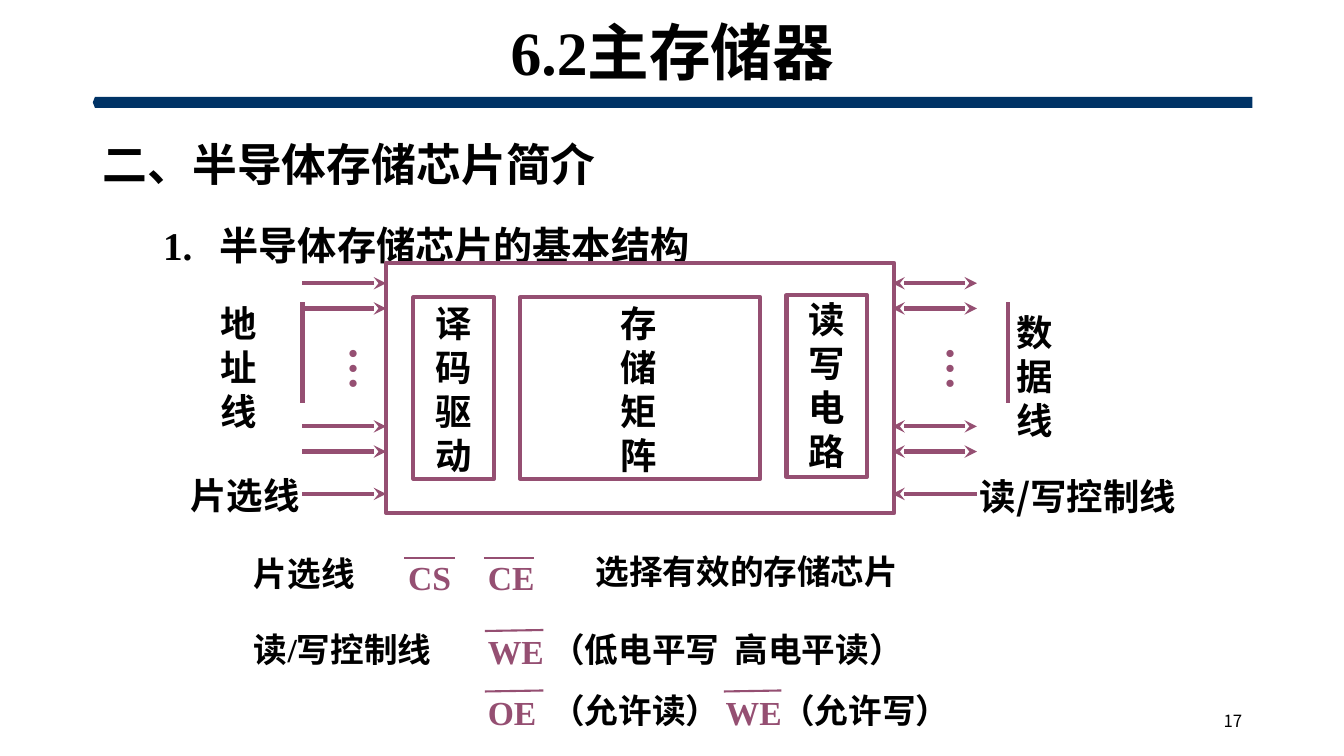
import pptx
import pptx.util
import pptx.dml.color
import pptx.enum.shapes
import pptx.enum.text
import pptx.oxml
import pptx.oxml.ns
from pptx.util import Inches, Pt

COLORS = {"text": "000000", "line": "954F72", "bar": "003366"}
SERIF = "Times New Roman"
SANS = "Noto Sans CJK SC"
LINE_FACTOR = 1.21
SHAPES = pptx.enum.shapes.MSO_SHAPE
ALIGN = pptx.enum.text.PP_ALIGN
ANCHOR = pptx.enum.text.MSO_ANCHOR


def color(name):
    return pptx.dml.color.RGBColor.from_string(COLORS[name])


class Diagram:
    def __init__(self, prs):
        self.slide = prs.slides.add_slide(prs.slide_layouts[6])
        self.shapes = self.slide.shapes

    def style(self, target, values):
        for name, value in values.items():
            setattr(target, name, value)

    def outline(self, sp, width=3):
        self.style(sp.line, {"width": Pt(width)})
        sp.line.color.rgb = color("line")

    def box(self, x, y, w, h):
        sp = self.shapes.add_shape(SHAPES.RECTANGLE, Inches(x), Inches(y), Inches(w), Inches(h))
        sp.shadow.inherit = False
        sp.fill.background()
        self.outline(sp)

    def bar(self, x, y, w, h):
        sp = self.shapes.add_shape(SHAPES.PENTAGON, Inches(x), Inches(y), Inches(w), Inches(h))
        sp.shadow.inherit = False
        sp.rotation = 180
        sp.adjustments[0] = 0.2
        sp.fill.solid()
        sp.fill.fore_color.rgb = color("bar")
        sp.line.fill.background()

    def line(self, x1, y1, x2, y2, width=3, ends=()):
        sp = self.shapes.add_connector(pptx.enum.shapes.MSO_CONNECTOR.STRAIGHT,
                                       Inches(x1), Inches(y1), Inches(x2), Inches(y2))
        self.outline(sp, width)
        ln = sp.line._get_or_add_ln()
        for end in ends:
            pptx.oxml.ns.qn("a:" + end)
            ln.append(pptx.oxml.parse_xml(
                f'<a:{end} {pptx.oxml.ns.nsdecls("a")} type="stealth"/>'))
        sp._element.spPr.append(pptx.oxml.parse_xml(
            f'<a:effectLst {pptx.oxml.ns.nsdecls("a")}/>'))

    def brace(self, x, y, w, h):
        half = [(0, 0), (0.17, 0.01), (0.3, 0.02), (0.43, 0.05), (0.52, 0.08), (0.52, 0.42),
                (0.52, 0.45), (0.65, 0.47), (0.78, 0.49), (1, 0.5)]
        profile = half + [(a, 1 - b) for a, b in half[-2::-1]]
        points = [(x + a * w, y + b * h) for a, b in profile]
        fb = self.shapes.build_freeform(*points[0], scale=Inches(1))
        fb.add_line_segments(points[1:], close=False)
        sp = fb.convert_to_shape()
        sp.shadow.inherit = False
        sp.fill.background()
        self.outline(sp)

    def text(self, x, y, w, h, lines, size, font=SERIF, fill="text", bold=True, wrap=True,
             spacing=None, align=ALIGN.LEFT, anchor=ANCHOR.TOP, top=0.07, vert=None):
        sp = self.shapes.add_textbox(Inches(x), Inches(y), Inches(w), Inches(h))
        tf = sp.text_frame
        self.style(tf, {"word_wrap": wrap, "vertical_anchor": anchor, "margin_top": Inches(top)})
        if vert:
            tf._txBody.bodyPr.set("vert", vert)
        for i, line in enumerate(lines):
            p = tf.add_paragraph() if i else tf.paragraphs[0]
            self.style(p, {"alignment": align, "line_spacing": spacing})
            r = p.add_run()
            r.text = line
            self.style(r.font, {"size": Pt(size), "name": font, "bold": bold})
            r.font.color.rgb = color(fill)
            r.font._element.find(pptx.oxml.ns.qn("a:latin")).addnext(pptx.oxml.parse_xml(
                f'<a:ea {pptx.oxml.ns.nsdecls("a")} typeface="{SANS}"/>'))
        return tf

    def label(self, x, y, w, h, lines, size=26, font=SANS, wrap=True):
        self.text(x, y, w, h, lines, size, font, wrap=wrap, spacing=Pt(size * LINE_FACTOR))

    def signal(self, x, y, w, name, bar):
        self.text(x, y, w, 0.5, [name], 24, fill="line", wrap=False)
        x1, y1, x2, y2 = bar
        self.line(x1, y1, x2, y2, 1.5)


def main():
    prs = pptx.Presentation()
    prs.slide_width, prs.slide_height = Inches(13.33), Inches(7.5)
    s = Diagram(prs)

    s.bar(0.92, 0.96, 11.5, 0.11)
    s.text(0.92, 0.14, 11.5, 0.82, ["6.2主存储器"], 44, spacing=0.9,
           align=ALIGN.CENTER, anchor=ANCHOR.MIDDLE, top=0.05)
    tf = s.text(0.92, 0.99, 11.5, 5.33,
                ["二、半导体存储芯片简介", "1.\t半导体存储芯片的基本结构"], 32, top=0.05)
    heading, topic = tf.paragraphs
    s.style(heading, {"line_spacing": Pt(61)})
    s.style(topic, {"line_spacing": Pt(51), "space_before": Pt(5), "level": 1})
    topic.runs[0].font.size = Pt(28)
    pPr = topic._p.get_or_add_pPr()
    pPr.set("marL", str(Inches(1.16)))
    pPr.set("indent", str(Inches(-0.56)))

    for chip_box in [(3.83, 2.61, 5.04, 2.48), (4.1, 2.95, 0.8, 1.8),
                     (5.16, 2.95, 2.38, 1.8), (7.8, 2.93, 0.8, 1.8)]:
        s.box(*chip_box)
    for x, y, w, h, word in [(4.22, 2.91, 0.56, 1.85, "译码驱动"),
                             (6.06, 2.91, 0.59, 1.85, "存储矩阵"),
                             (7.92, 2.87, 0.56, 1.85, "读写电路"),
                             (2.09, 2.91, 0.54, 1.4, "地址线"),
                             (9.98, 3, 0.56, 1.4, "数据线")]:
        s.label(x, y, w, h, list(word))

    for y in (2.81, 3.06, 4.23, 4.48):
        s.line(3, y, 3.83, y, ends=["tailEnd"])
        s.line(9.69, y, 8.85, y, ends=["headEnd", "tailEnd"])
    s.line(3, 4.9, 3.83, 4.9, ends=["tailEnd"])
    s.line(9.69, 4.9, 8.85, 4.9, ends=["tailEnd"])
    s.brace(2.93, 2.79, -0.23, 1.66)
    s.brace(9.76, 2.88, 0.18, 1.61)
    for x in (3.09, 9.01):
        s.text(x, 3.34, 0.74, 0.55, ["…"], 32, SANS, "line", wrap=False, top=0.05, vert="eaVert")
    s.label(1.79, 4.62, 1.29, 0.53, ["片选线"], wrap=False)
    s.label(9.62, 4.63, 2.22, 0.54, ["读/写控制线"])

    for x, y, w, note in [(2.42, 5.41, 3.03, "片选线"), (5.81, 5.39, 3.21, "选择有效的存储芯片"),
                          (2.42, 6.17, 2.76, "读/写控制线"),
                          (5.37, 6.17, 4.61, "（低电平写  高电平读）"),
                          (5.37, 6.77, 2.44, "（允许读）"), (7.65, 6.77, 2.44, "（允许写）")]:
        s.label(x, y, w, 0.5, [note], 24, SERIF)
    for x, y, w, name, bar in [(3.95, 5.46, 0.63, "CS", (4.01, 5.54, 4.51, 5.54)),
                               (4.74, 5.46, 0.66, "CE", (4.8, 5.54, 5.3, 5.54)),
                               (4.74, 6.19, 0.76, "WE", (4.81, 6.26, 5.39, 6.25)),
                               (4.74, 6.79, 0.68, "OE", (4.81, 6.86, 5.39, 6.85)),
                               (7.1, 6.79, 0.76, "WE", (7.18, 6.86, 7.75, 6.85))]:
        s.signal(x, y, w, name, bar)

    s.text(9.42, 6.95, 3, 0.4, ["17"], 12, SANS, bold=False,
           align=ALIGN.RIGHT, anchor=ANCHOR.MIDDLE, top=0.05)
    prs.save("out.pptx")


if __name__ == "__main__":
    main()
